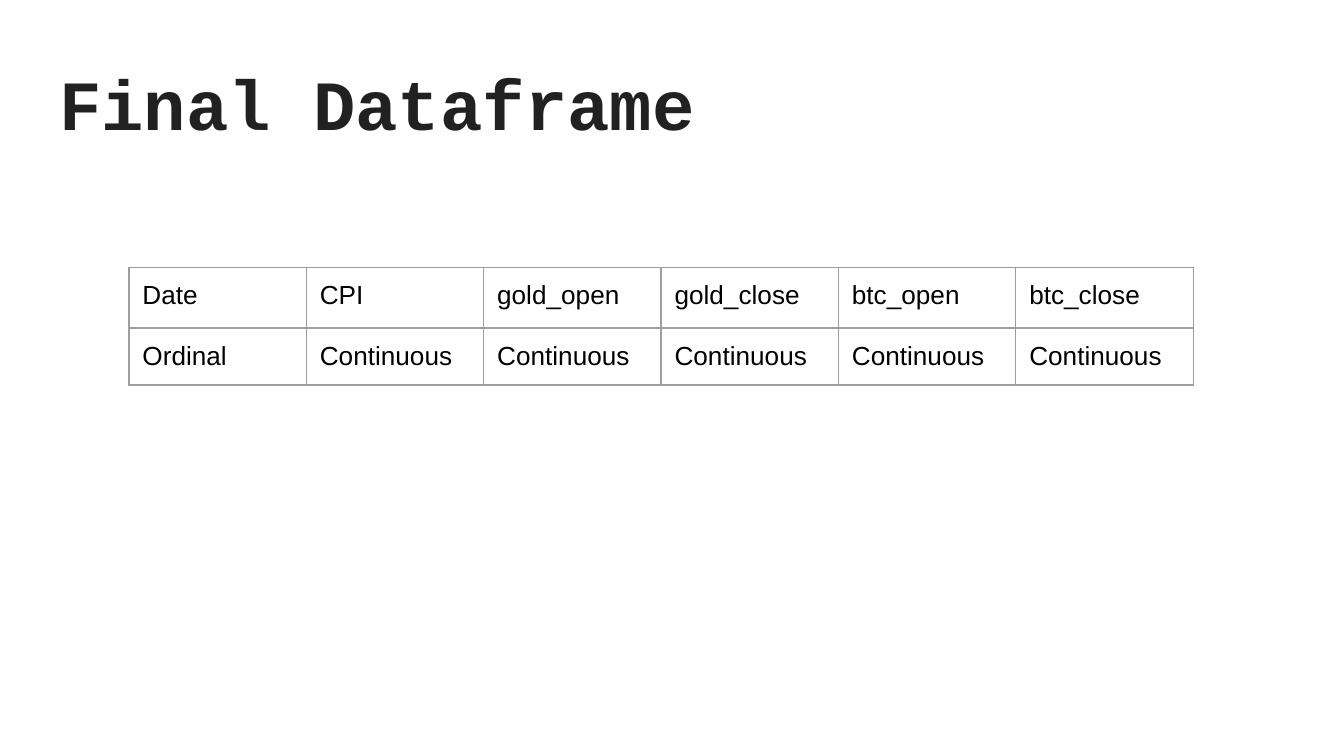
from typing import NamedTuple

from lxml.etree import SubElement
from pptx import Presentation
from pptx.dml.color import RGBColor
from pptx.enum.text import MSO_ANCHOR, MSO_AUTO_SIZE, PP_ALIGN
from pptx.oxml.ns import qn
from pptx.util import Emu, Pt

EMU_PER_PX = 4572
INSET = 20
BORDER_COLOR = "9E9E9E"
BORDER_POINTS = 0.75


class TextStyle(NamedTuple):
    font: str
    size: float
    color: str
    bold: bool = False


class Column(NamedTuple):
    name: str
    kind: str


TITLE_STYLE = TextStyle("Courier New", 37.8, "212121", True)
CELL_STYLE = TextStyle("Arial", 14, "000000")
COLUMNS = [
    Column("Date", "Ordinal"),
    *(
        Column(name, "Continuous")
        for name in ("CPI", "gold_open", "gold_close", "btc_open", "btc_close")
    ),
]
COLUMN_WIDTH = 264
ROW_HEIGHTS = (90, 85)


def px(length: int) -> Emu:
    return Emu(length * EMU_PER_PX)


def rgb(color: str) -> RGBColor:
    return RGBColor.from_string(color)


def write_text(holder, text: str, style: TextStyle) -> None:
    holder.text_frame.text = text
    para = holder.text_frame.paragraphs[0]
    para.alignment = PP_ALIGN.LEFT
    font = para.runs[0].font
    font.name = style.font
    font.size = Pt(style.size)
    font.bold = style.bold
    font.color.rgb = rgb(style.color)


def set_insets(holder) -> None:
    holder.margin_left = holder.margin_right = px(INSET)
    holder.margin_top = holder.margin_bottom = px(INSET)


def add_borders(cell) -> None:
    properties = cell._tc.get_or_add_tcPr()
    for side in ("lnL", "lnR", "lnT", "lnB"):
        line = SubElement(properties, qn(f"a:{side}"), w=str(Pt(BORDER_POINTS)))
        fill = SubElement(line, qn("a:solidFill"))
        SubElement(fill, qn("a:srgbClr"), val=BORDER_COLOR)


def place_title(slide, text: str) -> None:
    title = slide.shapes.title
    title.left, title.top, title.width, title.height = map(px, (68, 64, 1864, 176))
    frame = title.text_frame
    set_insets(frame)
    frame.word_wrap = True
    frame.auto_size = MSO_AUTO_SIZE.NONE
    frame.vertical_anchor = MSO_ANCHOR.MIDDLE
    write_text(title, text, TITLE_STYLE)


def draw_table(slide, left: int, top: int, columns: list[Column]) -> None:
    table = slide.shapes.add_table(
        len(ROW_HEIGHTS),
        len(columns),
        px(left),
        px(top),
        px(COLUMN_WIDTH * len(columns)),
        px(sum(ROW_HEIGHTS)),
    ).table
    table.first_row = False
    table.horz_banding = False
    for row, height in zip(table.rows, ROW_HEIGHTS):
        row.height = px(height)
    for column_index, column in enumerate(columns):
        table.columns[column_index].width = px(COLUMN_WIDTH)
        for row_index, text in enumerate(column):
            cell = table.cell(row_index, column_index)
            set_insets(cell)
            add_borders(cell)
            cell.fill.background()
            write_text(cell, text, CELL_STYLE)


def main() -> None:
    deck = Presentation()
    deck.slide_width, deck.slide_height = px(2000), px(1125)
    slide = deck.slides.add_slide(deck.slide_layouts[5])
    slide.background.fill.solid()
    slide.background.fill.fore_color.rgb = rgb("FFFFFF")
    place_title(slide, "Final Dataframe")
    draw_table(slide, 192, 398, COLUMNS)
    deck.save("out.pptx")


if __name__ == "__main__":
    main()
